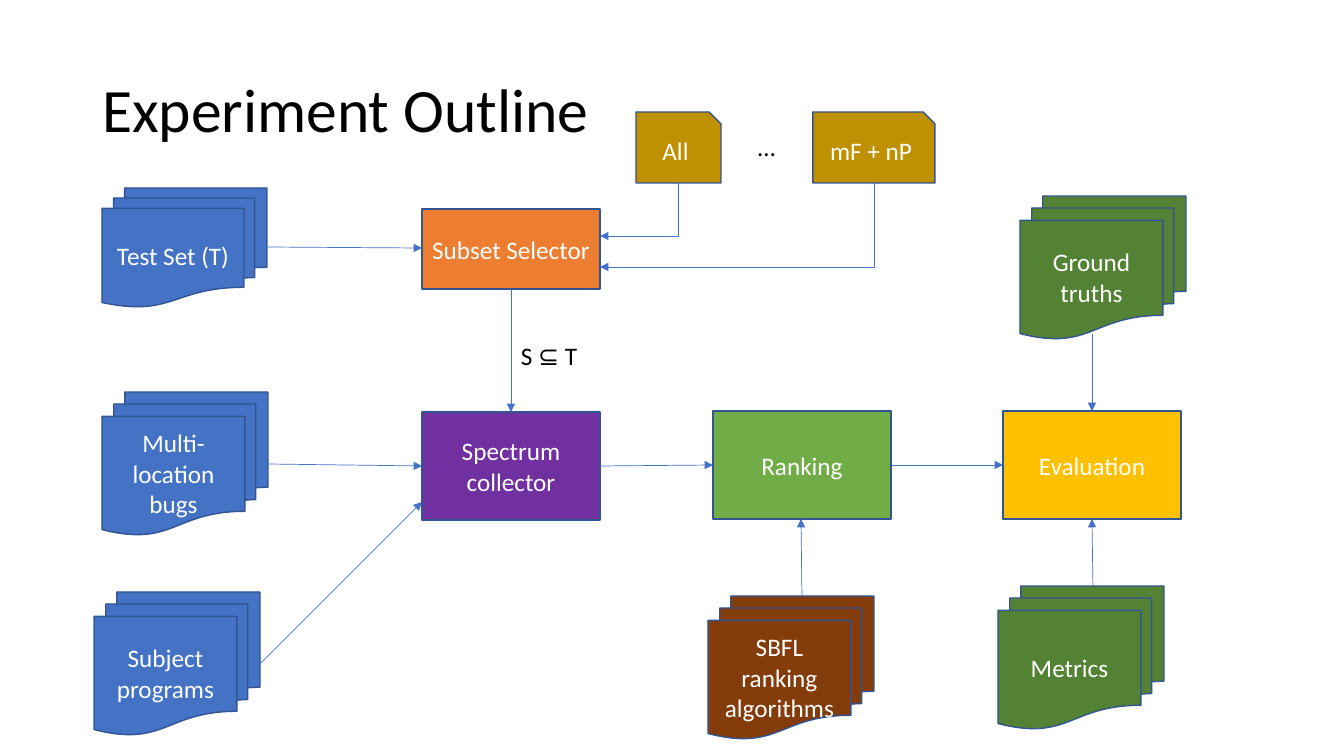
from dataclasses import dataclass

from lxml import etree
from pptx import Presentation
from pptx.dml.color import RGBColor
from pptx.enum.shapes import MSO_CONNECTOR, MSO_SHAPE
from pptx.enum.text import MSO_ANCHOR, MSO_AUTO_SIZE, PP_ALIGN
from pptx.oxml.ns import qn
from pptx.util import Pt

EMU_PER_PIXEL = 914400 / 100.8
DOCUMENTS = MSO_SHAPE.FLOWCHART_MULTIDOCUMENT
PROCESS = MSO_SHAPE.RECTANGLE
CARD = MSO_SHAPE.SNIP_1_RECTANGLE
STRAIGHT = MSO_CONNECTOR.STRAIGHT
LEFT, CENTER = PP_ALIGN.LEFT, PP_ALIGN.CENTER
MIDDLE = MSO_ANCHOR.MIDDLE
GROW = MSO_AUTO_SIZE.SHAPE_TO_FIT_TEXT
TOP_SITE, LEFT_SITE, BOTTOM_SITE, RIGHT_SITE = range(4)


@dataclass(frozen=True)
class Theme:
    """Colours, font and type sizes of the slide."""
    font: str = "Calibri"
    title_size: int = 44
    body_size: int = 18
    ink: str = "000000"
    light: str = "FFFFFF"
    outline: str = "325491"
    arrow: str = "4472C4"
    inputs: str = "4472C4"
    selector: str = "ED7D31"
    collector: str = "7030A0"
    ranking: str = "70AD47"
    evaluation: str = "FFC000"
    algorithms: str = "843C0B"
    references: str = "548235"
    subsets: str = "BF9000"


THEME = Theme()


def px(pixels):
    """Turn pixels into EMU."""
    return round(pixels * EMU_PER_PIXEL)


def write(frame, text, size, color, align):
    """Put one styled paragraph into a text frame."""
    frame.text = text
    frame.word_wrap = True
    paragraph = frame.paragraphs[0]
    paragraph.alignment = align
    paragraph.font.name = THEME.font
    paragraph.font.size = Pt(size)
    paragraph.font.color.rgb = RGBColor.from_string(color)
    return paragraph


def add_title(slide, text, bounds):
    """Place and format the title placeholder."""
    title = slide.shapes.title
    title.left, title.top, title.width, title.height = map(px, bounds)
    heading = write(title.text_frame, text, THEME.title_size, THEME.ink, LEFT)
    heading.line_spacing = 0.9
    title.text_frame.vertical_anchor = MIDDLE
    title.text_frame.auto_size = MSO_AUTO_SIZE.NONE


def add_node(slide, kind, text, fill, bounds):
    """Add a filled, outlined diagram node with centred text."""
    node = slide.shapes.add_shape(kind, *map(px, bounds))
    node.shadow.inherit = False
    node.fill.solid()
    node.fill.fore_color.rgb = RGBColor.from_string(fill)
    node.line.color.rgb = RGBColor.from_string(THEME.outline)
    node.line.width = Pt(1)
    write(node.text_frame, text, THEME.body_size, THEME.light, CENTER)
    node.text_frame.vertical_anchor = MIDDLE
    return node


def add_label(slide, text, bounds):
    """Add a plain text label."""
    frame = slide.shapes.add_textbox(*map(px, bounds)).text_frame
    write(frame, text, THEME.body_size, THEME.ink, LEFT)
    frame.auto_size = GROW


def style_arrow(arrow):
    """Give a connector its thin line, arrowhead and no shadow."""
    arrow.line.color.rgb = RGBColor.from_string(THEME.arrow)
    arrow.line.width = Pt(0.5)
    etree.SubElement(arrow.line._get_or_add_ln(), qn("a:tailEnd"), type="triangle")
    etree.SubElement(arrow._element.spPr, qn("a:effectLst"))


def add_arrow(slide, start, end, source, target=None):
    """Add a straight arrow glued to (node, site) pairs."""
    points = [px(value) for value in (*start, *end)]
    arrow = slide.shapes.add_connector(STRAIGHT, *points)
    arrow.begin_connect(*source)
    if target:
        arrow.end_connect(*target)
    arrow.begin_x, arrow.begin_y, arrow.end_x, arrow.end_y = points
    style_arrow(arrow)


def add_corner_arrow(slide, start, end):
    """Add an arrow that runs down and then turns left."""
    run, drop = start[0] - end[0], end[1] - start[1]
    left = (start[0] + end[0] - drop) / 2
    top = (start[1] + end[1] - run) / 2
    arrow = slide.shapes.add_connector(
        MSO_CONNECTOR.ELBOW, px(left), px(top), px(left + drop), px(top + run))
    properties = arrow._element.spPr
    properties.find(qn("a:xfrm")).set("rot", str(90 * 60000))
    properties.find(qn("a:prstGeom")).set("prst", "bentConnector2")
    style_arrow(arrow)


def main():
    """Build the experiment outline slide."""
    deck = Presentation()
    deck.slide_width, deck.slide_height = px(1344), px(756)
    slide = deck.slides.add_slide(deck.slide_layouts[5])
    add_title(slide, "Experiment Outline", (92, 40, 1159, 146))

    nodes = {
        name: add_node(slide, kind, text, fill, bounds)
        for name, kind, text, fill, bounds in (
            ("bugs", DOCUMENTS, "Multi-location bugs", THEME.inputs, (102, 392, 166, 143)),
            ("collector", PROCESS, "Spectrum collector", THEME.collector, (422, 412, 178, 108)),
            ("tests", DOCUMENTS, "Test Set (T)", THEME.inputs, (102, 188, 165, 119)),
            ("selector", PROCESS, "Subset Selector", THEME.selector, (422, 209, 178, 80)),
            ("programs", DOCUMENTS, "Subject programs", THEME.inputs, (94, 592, 166, 143)),
            ("ranking", PROCESS, "Ranking", THEME.ranking, (713, 411, 178, 108)),
            ("algorithms", DOCUMENTS, "SBFL ranking algorithms", THEME.algorithms,
             (708, 596, 166, 143)),
            ("evaluation", PROCESS, "Evaluation", THEME.evaluation, (1003, 411, 178, 108)),
            ("metrics", DOCUMENTS, "Metrics", THEME.references, (998, 586, 166, 143)),
            ("truths", DOCUMENTS, "Ground truths", THEME.references, (1020, 196, 166, 143)),
            ("all", CARD, "All", THEME.subsets, (636, 112, 85, 71)),
            ("mixed", CARD, "mF + nP", THEME.subsets, (813, 112, 122, 71)),
        )
    }

    rightward = (RIGHT_SITE, LEFT_SITE)
    downward = (BOTTOM_SITE, TOP_SITE)
    upward = (TOP_SITE, BOTTOM_SITE)
    for source, target, (leaving, entering), start, end in (
        ("tests", "selector", rightward, (267, 247), (422, 248)),
        ("selector", "collector", downward, (511, 289), (511, 412)),
        ("bugs", "collector", rightward, (268, 464), (422, 466)),
        ("algorithms", "ranking", upward, (802, 596), (801, 519)),
        ("collector", "ranking", rightward, (600, 466), (713, 465)),
        ("ranking", "evaluation", rightward, (891, 465), (1003, 465)),
        ("metrics", "evaluation", upward, (1093, 586), (1092, 519)),
        ("truths", "evaluation", downward, (1092, 334), (1092, 411)),
    ):
        add_arrow(slide, start, end, (nodes[source], leaving), (nodes[target], entering))
    add_arrow(slide, (261, 663), (422, 502), (nodes["programs"], RIGHT_SITE))
    for start, end in (((678, 182), (600, 236)), ((874, 182), (600, 267))):
        add_corner_arrow(slide, start, end)

    add_label(slide, "…", (748, 126, 53, 40))
    add_label(slide, "S ⊆ T", (511, 335, 83, 40))
    deck.save("out.pptx")


main()
